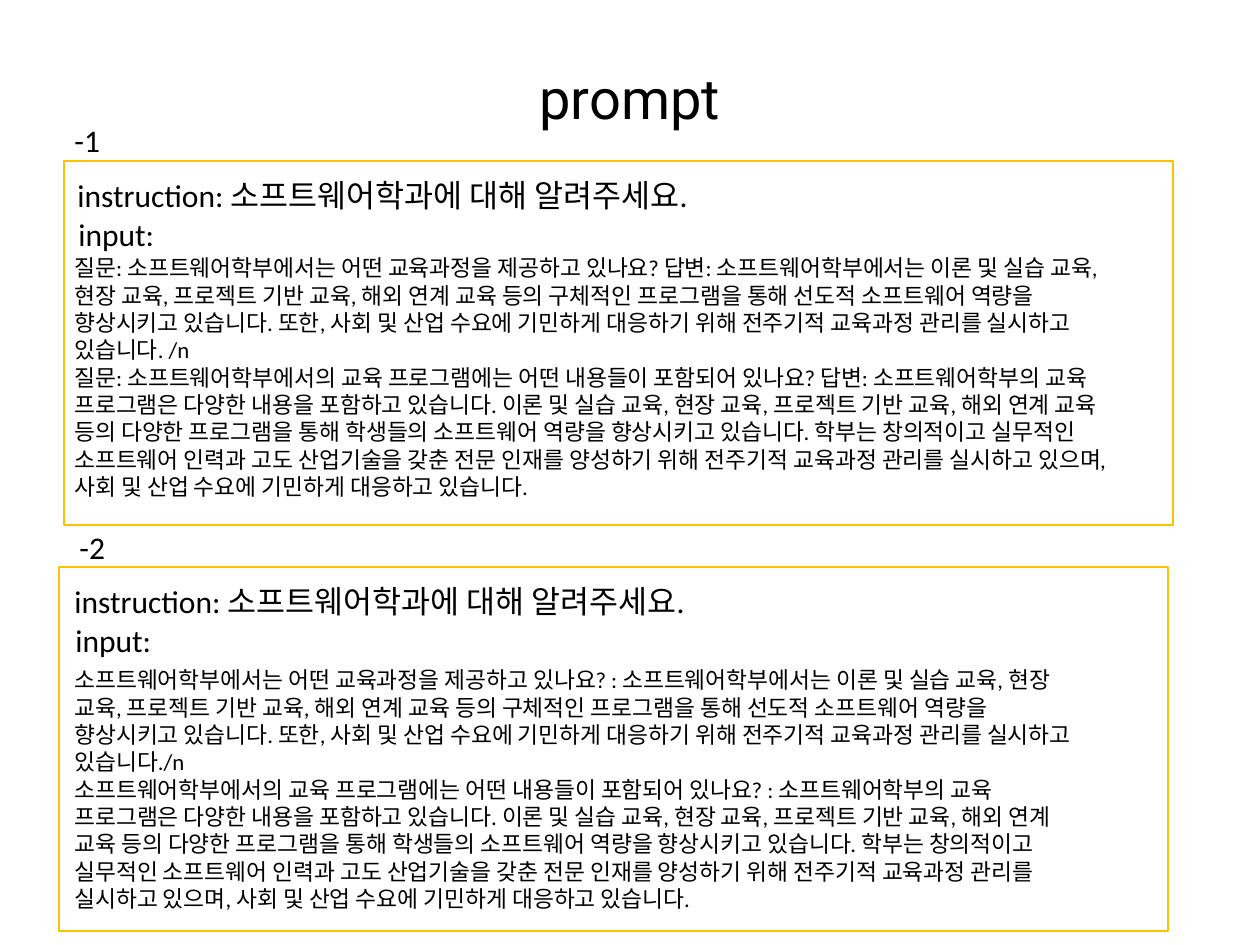
"""Build the slide that compares two prompt formats."""
from pptx import Presentation
from pptx.dml.color import RGBColor
from pptx.enum.shapes import MSO_SHAPE
from pptx.enum.text import MSO_ANCHOR, PP_ALIGN
from pptx.util import Pt

BLACK = RGBColor(0x00, 0x00, 0x00)
AMBER = RGBColor(0xFF, 0xC0, 0x00)
PX_PER_INCH = 126
EMU_PER_INCH = 914400

INSTRUCTION = "instruction: 소프트웨어학과에 대해 알려주세요."
CURRICULUM_QUESTION = "소프트웨어학부에서는 어떤 교육과정을 제공하고 있나요?"
CURRICULUM_ANSWER = (
    "소프트웨어학부에서는 이론 및 실습 교육, 현장 교육, 프로젝트 기반 교육, "
    "해외 연계 교육 등의 구체적인 프로그램을 통해 선도적 소프트웨어 역량을 "
    "향상시키고 있습니다. 또한, 사회 및 산업 수요에 기민하게 대응하기 위해 "
    "전주기적 교육과정 관리를 실시하고 있습니다."
)
CONTENT_QUESTION = (
    "소프트웨어학부에서의 교육 프로그램에는 어떤 내용들이 포함되어 있나요?"
)
CONTENT_ANSWER = (
    "소프트웨어학부의 교육 프로그램은 다양한 내용을 포함하고 있습니다. "
    "이론 및 실습 교육, 현장 교육, 프로젝트 기반 교육, 해외 연계 교육 등의 "
    "다양한 프로그램을 통해 학생들의 소프트웨어 역량을 향상시키고 있습니다. "
    "학부는 창의적이고 실무적인 소프트웨어 인력과 고도 산업기술을 갖춘 "
    "전문 인재를 양성하기 위해 전주기적 교육과정 관리를 실시하고 있으며, "
    "사회 및 산업 수요에 기민하게 대응하고 있습니다."
)
LABELED_INPUT = [
    f"질문: {CURRICULUM_QUESTION} 답변: {CURRICULUM_ANSWER} /n",
    f"질문: {CONTENT_QUESTION} 답변: {CONTENT_ANSWER}",
]
PLAIN_INPUT = [
    f"{CURRICULUM_QUESTION} : {CURRICULUM_ANSWER}/n",
    f"{CONTENT_QUESTION} : {CONTENT_ANSWER}",
]


def px(length):
    """Turn pixels into EMU."""
    return round(length * EMU_PER_INCH / PX_PER_INCH)


class PromptSlide:
    """Hold the text style and the slide being drawn."""

    def __init__(self, slide, font="Calibri", color=BLACK):
        """Keep the slide, font and text colour."""
        self.slide = slide
        self.font = font
        self.color = color

    def text(self, box, paragraphs, size, font=None):
        """Add a wrapping text box and return its text frame."""
        frame = self.slide.shapes.add_textbox(*map(px, box)).text_frame
        frame.word_wrap = True
        for index, wording in enumerate(paragraphs):
            paragraph = frame.paragraphs[0] if index == 0 else frame.add_paragraph()
            run = paragraph.add_run()
            run.text = wording
            run.font.size = Pt(size)
            run.font.name = font or self.font
            run.font.color.rgb = self.color
        return frame

    def title(self, box, wording):
        """Add the centred heading."""
        frame = self.text(box, [wording], 32, "Roboto")
        frame.vertical_anchor = MSO_ANCHOR.MIDDLE
        frame.paragraphs[0].alignment = PP_ALIGN.CENTER
        frame.paragraphs[0].line_spacing = 0.9

    def label(self, left, top, wording):
        """Add a one-line label."""
        self.text((left, top, 702, 50), [wording], 18)

    def border(self, left, top):
        """Add an unfilled amber border."""
        border = self.slide.shapes.add_shape(
            MSO_SHAPE.RECTANGLE, *map(px, (left, top, 1109, 364))
        )
        border.shadow.inherit = False
        border.fill.background()
        border.line.color.rgb = AMBER
        border.line.width = Pt(1.5)

    def prompt(self, number, number_at, border_at, instruction_at, body_box, body):
        """Add one numbered prompt example with its border."""
        left, top = instruction_at
        self.text(body_box, body, 13)
        self.label(*number_at, number)
        self.label(left, top, INSTRUCTION)
        self.label(left + 1, top + 39, "input:")
        self.border(*border_at)


def main():
    """Build and save the slide."""
    deck = Presentation()
    deck.slide_width, deck.slide_height = px(1260), px(945)
    page = PromptSlide(deck.slides.add_slide(deck.slide_layouts[6]))
    page.title((87, 45, 1086, 112), "prompt")
    page.prompt("-1", (62, 115), (64, 161), (65, 170),
                (62, 248, 1086, 261), LABELED_INPUT)
    page.prompt("-2", (67, 522), (59, 567), (62, 576),
                (62, 660, 1037, 285), PLAIN_INPUT)
    deck.save("out.pptx")


if __name__ == "__main__":
    main()
